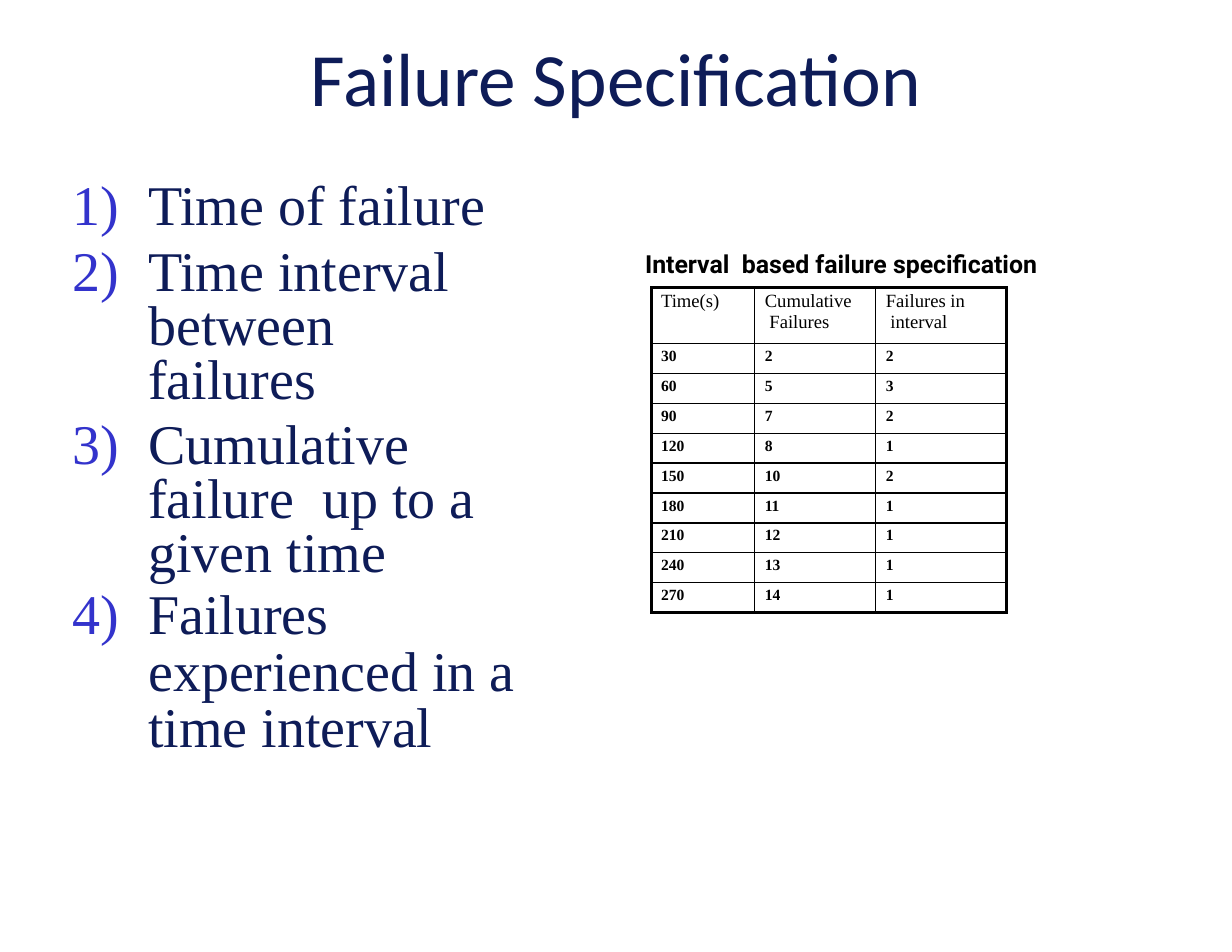
import pptx
import pptx.util
import pptx.dml.color
import pptx.enum.text
import pptx.oxml.ns
import lxml.etree

Pt = pptx.util.Pt
NAVY, BLUE, BLACK = "0E1C58", "3333CC", "000000"
SERIF = "Times New Roman"


def color(hex_string):
    return pptx.dml.color.RGBColor.from_string(hex_string)


def add_xml(parent, tag, **attributes):
    return lxml.etree.SubElement(parent, pptx.oxml.ns.qn(tag), attributes)


class SlideBuilder:
    """Holds the shared style and the current slide."""

    def __init__(self, slide, font, ink):
        self.slide, self.font, self.ink = slide, font, ink

    def add_text(self, paragraph, text, size, bold=False, font=None, ink=None):
        run = paragraph.add_run()
        run.text = text
        run.font.size = Pt(size)
        run.font.bold = bold
        run.font.name = font or self.font
        run.font.color.rgb = color(ink or self.ink)

    def title(self, text, left, top, width, height):
        heading = self.slide.shapes.title
        heading.left, heading.top = Pt(left), Pt(top)
        heading.width, heading.height = Pt(width), Pt(height)
        heading.text_frame.vertical_anchor = pptx.enum.text.MSO_ANCHOR.MIDDLE
        paragraph = heading.text_frame.paragraphs[0]
        paragraph.alignment = pptx.enum.text.PP_ALIGN.CENTER
        self.add_text(paragraph, text, 48.4, font="Calibri", ink=NAVY)

    def text_box(self, left, top, width, height):
        box = self.slide.shapes.add_textbox(Pt(left), Pt(top), Pt(width), Pt(height))
        box.text_frame.word_wrap = True
        return box.text_frame

    def numbered_list(self, items, left, top, width, height):
        frame = self.text_box(left, top, width, height)
        for index, (text, line_pitch, space_before, right_margin) in enumerate(items):
            paragraph = frame.add_paragraph() if index else frame.paragraphs[0]
            paragraph.space_before = Pt(space_before)
            if line_pitch:
                paragraph.line_spacing = Pt(line_pitch)
            self.add_text(paragraph, text, 36, ink=NAVY)
            # Hanging number
            properties = paragraph._p.get_or_add_pPr()
            properties.set("marL", str(Pt(48.6)))
            properties.set("indent", str(-Pt(48.6)))
            properties.set("marR", str(Pt(right_margin)))
            add_xml(add_xml(properties, "a:buClr"), "a:srgbClr", val=BLUE)
            add_xml(properties, "a:buFont", typeface=self.font)
            add_xml(properties, "a:buAutoNum", type="arabicParenR")

    def caption(self, text, left, top, width, height):
        frame = self.text_box(left, top, width, height)
        frame.margin_left = frame.margin_right = 0
        frame.margin_top = frame.margin_bottom = 0
        self.add_text(frame.paragraphs[0], text, 16, bold=True, font="Roboto")

    def borders(self, cell, widths):
        properties = cell._tc.get_or_add_tcPr()
        for side, width in zip("LRTB", widths):
            line = add_xml(properties, f"a:ln{side}", w=str(Pt(width)))
            add_xml(add_xml(line, "a:solidFill"), "a:srgbClr", val=self.ink)

    def table(self, rows, left, top, column_widths, row_heights):
        grid = self.slide.shapes.add_table(
            len(rows), len(column_widths), Pt(left), Pt(top),
            Pt(sum(column_widths)), Pt(sum(row_heights))).table
        grid.first_row = grid.horz_banding = False
        for column, width in zip(grid.columns, column_widths):
            column.width = Pt(width)
        last_row, last_column = len(rows) - 1, len(column_widths) - 1
        for r, values in enumerate(rows):
            grid.rows[r].height = Pt(row_heights[r])
            header = r == 0
            for c, value in enumerate(values):
                cell = grid.cell(r, c)
                cell.margin_left = Pt(6 if c == 0 else 6.5)
                cell.margin_right = cell.margin_bottom = 0
                cell.margin_top = Pt(2 if header else 2.7)
                paragraph = cell.text_frame.paragraphs[0]
                for n, line in enumerate(str(value).split("\n")):
                    if n:
                        paragraph.add_line_break()
                    self.add_text(paragraph, line, 12 if header else 10, bold=not header)
                # Heavy outer frame, thin inner rules
                outer = (c == 0, c == last_column, r == 0, r == last_row)
                self.borders(cell, [2.22 if edge else 1.02 for edge in outer])
                cell.fill.background()


presentation = pptx.Presentation()
presentation.slide_width, presentation.slide_height = Pt(792), Pt(612)
page = presentation.slides.add_slide(presentation.slide_layouts[5])
builder = SlideBuilder(page, SERIF, BLACK)

builder.title("Failure Specification", 39.6, 14.4, 712.8, 69.8)

# Ways to specify failures: text, line pitch, space before, right margin
specifications = [
    ("Time of failure", None, 7.2, 0),
    ("Time interval between failures", 34.6, 8.2, 45),
    ("Cumulative failure  up to a given time", 34.6, 7.6, 45),
    ("Failures experienced in a time interval", 36.5, 3.2, 0),
]
builder.numbered_list(specifications, 39.6, 105.1, 326.2, 403.9)

# Failures counted per 30 second interval
builder.caption("Interval  based failure specification", 414.7, 159.8, 311.8, 19.4)
failures_in_interval = [2, 3, 2, 1, 2, 1, 1, 1, 1]
failure_rows = [("Time(s)", "Cumulative\n Failures", "Failures in\n interval")]
cumulative = 0
for interval, failures in enumerate(failures_in_interval, 1):
    cumulative += failures
    failure_rows.append((30 * interval, cumulative, failures))
builder.table(failure_rows, 419, 185, [66.2, 77.8, 84.2],
              [36] + [19.2] * len(failures_in_interval))

presentation.save("out.pptx")
